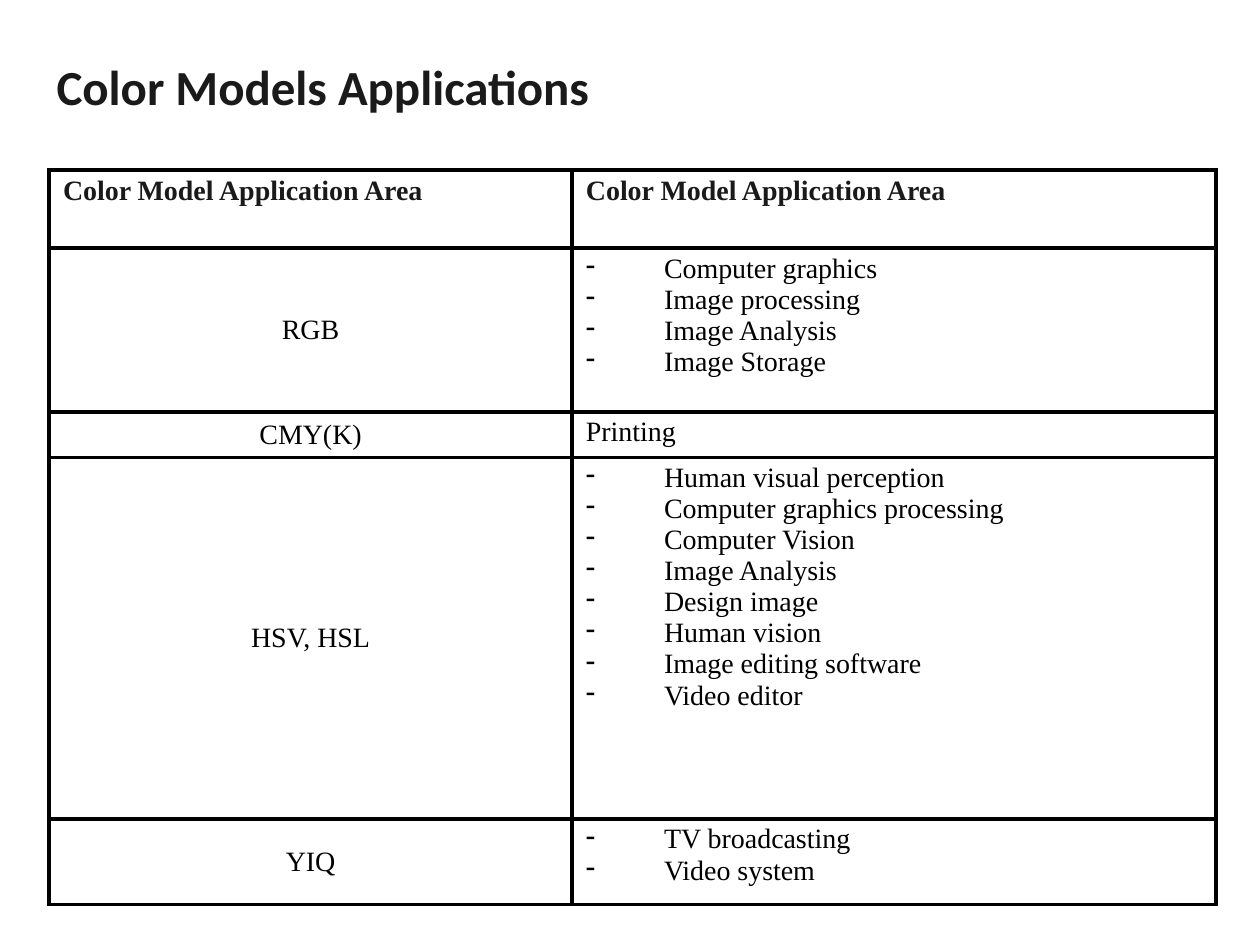
from dataclasses import dataclass

from lxml import etree
from pptx import Presentation
from pptx.dml.color import RGBColor
from pptx.enum.text import MSO_ANCHOR, MSO_AUTO_SIZE, PP_ALIGN
from pptx.oxml.ns import qn
from pptx.util import Inches, Pt

LEFT, CENTER = PP_ALIGN.LEFT, PP_ALIGN.CENTER
TOP, MIDDLE = MSO_ANCHOR.TOP, MSO_ANCHOR.MIDDLE
FIT_SHAPE = MSO_AUTO_SIZE.SHAPE_TO_FIT_TEXT


@dataclass(frozen=True)
class Theme:
    """Colours, fonts and sizes of the slide."""
    heading: str = "1A1A1A"
    body: str = "000000"
    border: str = "000000"
    title_font: str = "Calibri"
    table_font: str = "Times New Roman"
    title_size: float = 28
    table_size: float = 16
    border_width: float = 2.25


THEME = Theme()
TITLE = "Color Models Applications"
HEADER = "Color Model Application Area"
COLUMN_WIDTHS = (4.15, 5.11)
HEADER_HEIGHT = 0.62
MODELS = (
    ("RGB", 1.3, ("Computer graphics", "Image processing",
                  "Image Analysis", "Image Storage")),
    ("CMY(K)", 0.36, ("Printing",)),
    ("HSV, HSL", 2.87, ("Human visual perception", "Computer graphics processing",
                        "Computer Vision", "Image Analysis", "Design image",
                        "Human vision", "Image editing software", "Video editor")),
    ("YIQ", 0.68, ("TV broadcasting", "Video system")),
)


def add_span(para, text, font, size, color, bold=False):
    """Add one formatted run to a paragraph."""
    span = para.add_run()
    span.text = text
    span.font.name = font
    span.font.size = Pt(size)
    span.font.bold = bold
    span.font.color.rgb = RGBColor.from_string(color)


def add_dash(para):
    """Give a paragraph a hanging dash bullet."""
    properties = para._p.get_or_add_pPr()
    properties.set("marL", str(Inches(0.62)))
    properties.set("indent", str(-Inches(0.62)))
    etree.SubElement(properties, qn("a:buChar"), char="-")


def add_borders(cell):
    """Draw solid lines on all four sides of a cell."""
    properties = cell._tc.get_or_add_tcPr()
    for index, side in enumerate(("lnL", "lnR", "lnT", "lnB")):
        line = etree.Element(qn(f"a:{side}"), w=str(Pt(THEME.border_width)))
        fill = etree.SubElement(line, qn("a:solidFill"))
        etree.SubElement(fill, qn("a:srgbClr"), val=THEME.border)
        properties.insert(index, line)


def fill_cell(cell, lines, color=THEME.body, bold=False, align=LEFT, anchor=TOP):
    """Write lines into a cell, with dashes when there are several."""
    cell.fill.background()
    cell.margin_left = cell.margin_right = Inches(0.11)
    cell.margin_top = cell.margin_bottom = Inches(0.04)
    cell.vertical_anchor = anchor
    add_borders(cell)
    frame = cell.text_frame
    for index, text in enumerate(lines):
        para = frame.add_paragraph() if index else frame.paragraphs[0]
        para.alignment = align
        if len(lines) > 1:
            add_dash(para)
        add_span(para, text, THEME.table_font, THEME.table_size, color, bold)


def add_title(page, left, top, width, height):
    """Place the slide title in the given box."""
    box = page.shapes.add_textbox(left, top, width, height)
    frame = box.text_frame
    frame.word_wrap = False
    frame.auto_size = FIT_SHAPE
    add_span(frame.paragraphs[0], TITLE, THEME.title_font,
             THEME.title_size, THEME.heading, True)


def add_model_table(page, left, top, width, height):
    """Place the table of colour models and their uses."""
    table = page.shapes.add_table(len(MODELS) + 1, len(COLUMN_WIDTHS),
                                  left, top, width, height).table
    table.first_row = table.horz_banding = False
    for column, size in zip(table.columns, COLUMN_WIDTHS):
        column.width = Inches(size)
    table.rows[0].height = Inches(HEADER_HEIGHT)
    for cell in table.rows[0].cells:
        fill_cell(cell, (HEADER,), THEME.heading, True)
    for index, (model, size, uses) in enumerate(MODELS, 1):
        table.rows[index].height = Inches(size)
        fill_cell(table.cell(index, 0), (model,), align=CENTER, anchor=MIDDLE)
        fill_cell(table.cell(index, 1), uses)


def main():
    """Build and save the deck."""
    deck = Presentation()
    deck.slide_width, deck.slide_height = Inches(10), Inches(7.5)
    page = deck.slides.add_slide(deck.slide_layouts[6])
    add_model_table(page, Inches(0.39), Inches(1.35), Inches(9.26), Inches(5.83))
    add_title(page, Inches(0.35), Inches(0.4), Inches(5.15), Inches(0.57))
    deck.save("out.pptx")


if __name__ == "__main__":
    main()
